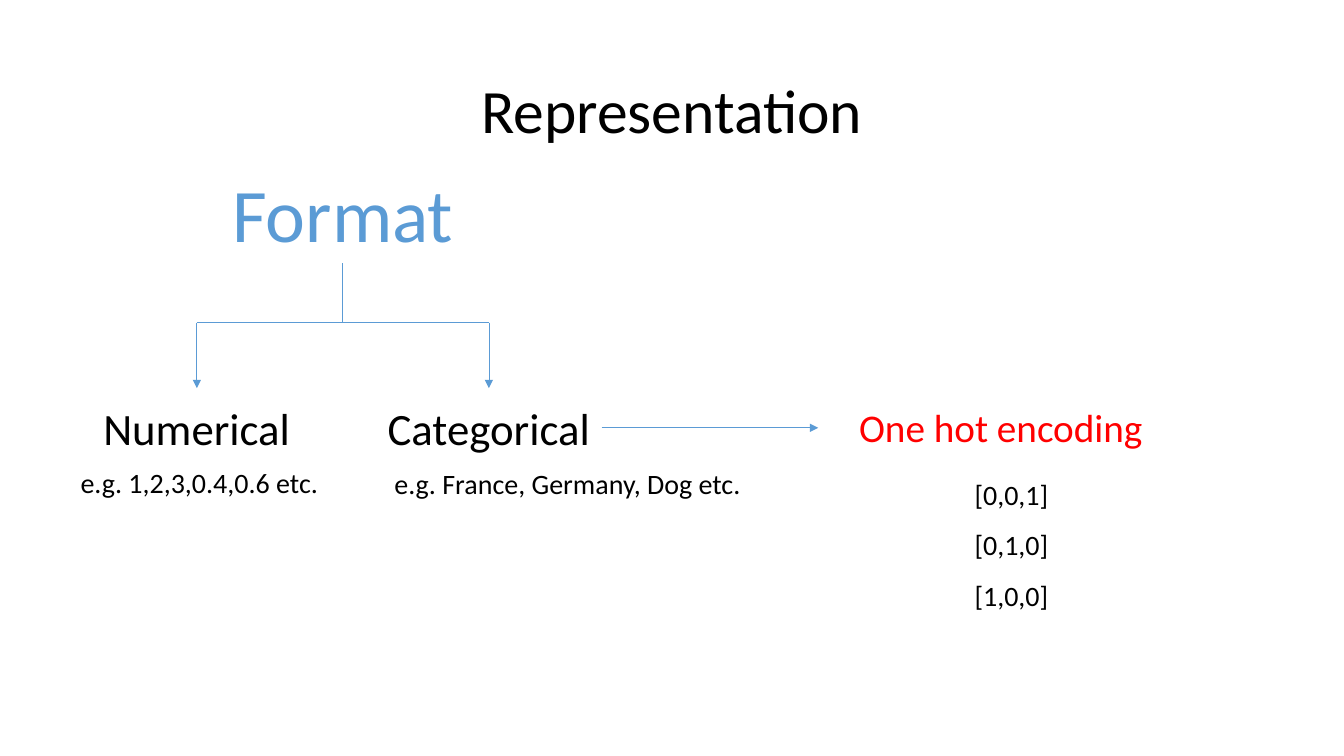
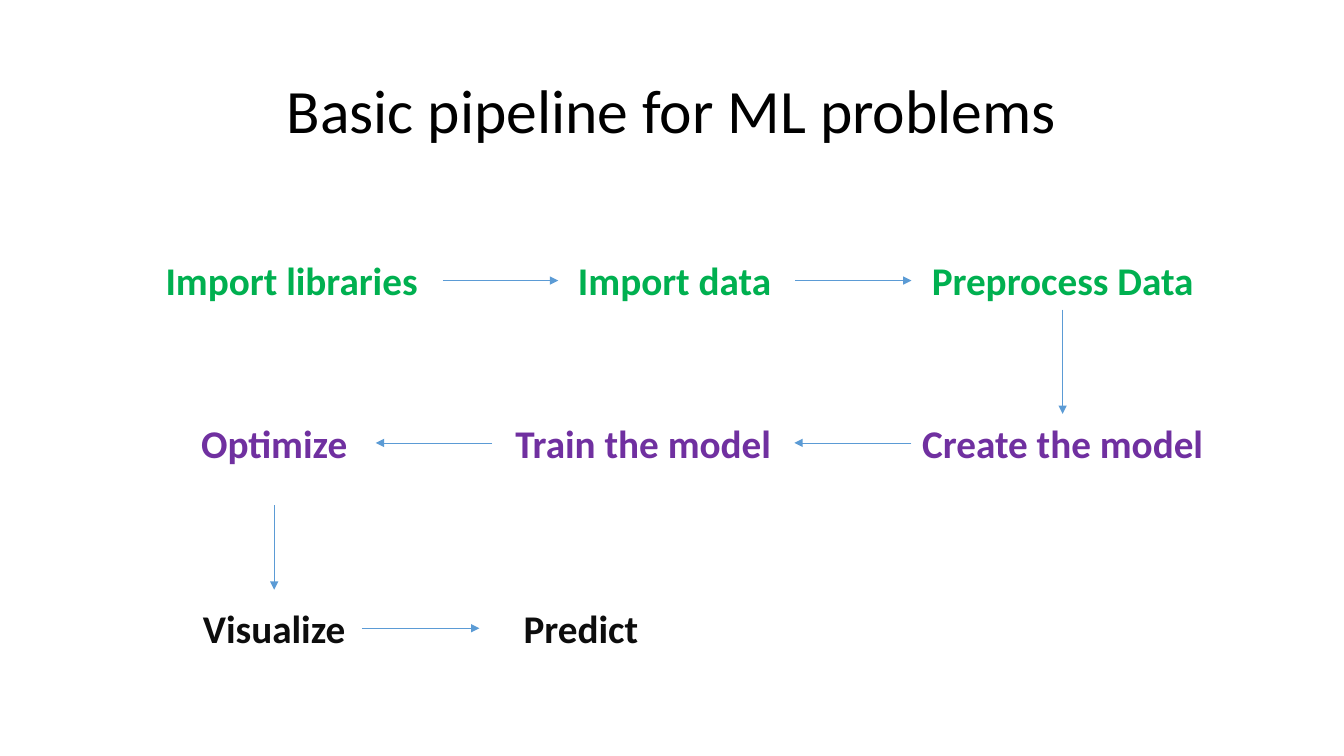
from dataclasses import dataclass
from typing import NamedTuple

from lxml import etree
from pptx import Presentation
from pptx.dml.color import RGBColor
from pptx.enum.shapes import MSO_CONNECTOR
from pptx.enum.text import MSO_ANCHOR, MSO_AUTO_SIZE, PP_ALIGN
from pptx.oxml.ns import qn
from pptx.shapes.autoshape import Shape
from pptx.slide import Slide
from pptx.util import Cm, Pt

STRAIGHT = MSO_CONNECTOR.STRAIGHT
MIDDLE = MSO_ANCHOR.MIDDLE
GROW, FIXED = MSO_AUTO_SIZE.SHAPE_TO_FIT_TEXT, MSO_AUTO_SIZE.NONE
LEFT, CENTER = PP_ALIGN.LEFT, PP_ALIGN.CENTER
SIDE_TOP, SIDE_LEFT, SIDE_BOTTOM, SIDE_RIGHT = range(4)

FONT = "Calibri"
COLORS = {
    "black": "000000",
    "blue": "5B9BD5",
    "red": "FF0000",
    "green": "00B050",
    "purple": "7030A0",
    "charcoal": "0D0D0D",
    "gold": "FFC000",
}


class Point(NamedTuple):
    x: float
    y: float


class Joint(NamedTuple):
    box: Shape
    side: int


End = Point | Joint


@dataclass(frozen=True)
class Label:
    """Text and its place in centimetres; several lines make several paragraphs."""

    lines: tuple[str, ...]
    left: float
    top: float
    width: float
    height: float
    size: int
    color: str = "black"
    align: PP_ALIGN = CENTER
    wrap: bool = True
    spacing: float = 1.0
    bold: bool = False
    outline: str | None = None


def draw_label(page: Slide, label: Label) -> Shape:
    box = page.shapes.add_textbox(
        Cm(label.left), Cm(label.top), Cm(label.width), Cm(label.height)
    )
    frame = box.text_frame
    frame.word_wrap = label.wrap
    frame.auto_size = GROW
    for index, line in enumerate(label.lines):
        para = frame.paragraphs[0] if index == 0 else frame.add_paragraph()
        para.alignment = label.align
        para.line_spacing = label.spacing
        span = para.add_run()
        span.text = line
        span.font.name = FONT
        span.font.size = Pt(label.size)
        span.font.bold = label.bold
        span.font.color.rgb = RGBColor.from_string(COLORS[label.color])
        if label.outline:
            stroke = etree.Element(qn("a:ln"), w=str(Pt(1)))
            fill = etree.SubElement(stroke, qn("a:solidFill"))
            etree.SubElement(fill, qn("a:srgbClr"), val=COLORS[label.outline])
            span.font._element.insert(0, stroke)
    return box


def draw_line(page: Slide, start: End, end: End, arrow: bool = True) -> None:
    """Draw a thin blue line between points or joined box sides."""
    begin, finish = (
        Point(0, 0) if isinstance(place, Joint) else place for place in (start, end)
    )
    line = page.shapes.add_connector(
        STRAIGHT, Cm(begin.x), Cm(begin.y), Cm(finish.x), Cm(finish.y)
    )
    if isinstance(start, Joint):
        line.begin_connect(start.box, start.side)
    if isinstance(end, Joint):
        line.end_connect(end.box, end.side)
    line.line.color.rgb = RGBColor.from_string(COLORS["blue"])
    line.line.width = Pt(0.5)
    properties = line._element.spPr
    if arrow:
        etree.SubElement(properties.find(qn("a:ln")), qn("a:tailEnd"), type="triangle")
    etree.SubElement(properties, qn("a:effectLst"))


def add_page(deck: Presentation, title: str) -> Slide:
    page = deck.slides.add_slide(deck.slide_layouts[6])
    label = Label((title,), 2.33, 1.02, 29.21, 3.68, 44, spacing=0.9)
    frame = draw_label(page, label).text_frame
    frame.auto_size = FIXED
    frame.vertical_anchor = MIDDLE
    return page


def build_representation(deck: Presentation) -> None:
    page = add_page(deck, "Representation")
    root = draw_label(
        page, Label(("Format",), 5.51, 4.07, 6.26, 2.56, 54, "blue", wrap=False)
    )
    fork = Point(8.64, 8.13)
    draw_line(page, Joint(root, SIDE_BOTTOM), fork, arrow=False)
    for branch_x in (4.96, 12.32):
        corner = Point(branch_x, fork.y)
        draw_line(page, fork, corner, arrow=False)
        draw_line(page, corner, Point(branch_x, 9.78))

    draw_label(page, Label(("Numerical",), 2.33, 9.97, 5.26, 1.62, 32, wrap=False))
    categorical = draw_label(
        page, Label(("Categorical",), 9.48, 9.97, 5.68, 1.62, 32, wrap=False)
    )
    draw_line(page, Joint(categorical, SIDE_RIGHT), Point(20.62, 10.78))

    details = (
        Label(("e.g. 1,2,3,0.4,0.6 etc.",), 1.78, 11.61, 8.69, 1.12, 20, align=LEFT),
        Label(
            ("e.g. France, Germany, Dog etc.",), 9.69, 11.63, 9.58, 1.12, 20, align=LEFT
        ),
        Label(("One hot encoding",), 21.4, 10.05, 9.78, 1.46, 28, "red", LEFT),
        Label(
            ("[0,0,1]", "[0,1,0]", "[1,0,0]"),
            24.31, 11.48, 2.6, 3.96, 20, align=LEFT, spacing=1.5,
        ),
    )
    for detail in details:
        draw_label(page, detail)


def build_pipeline(deck: Presentation) -> None:
    page = add_page(deck, "Basic pipeline for ML problems")
    height, wide, narrow = 1.46, 7.62, 5.12
    rows = (
        (6.34, "green", (
            ("Import libraries", 3.54, wide),
            ("Import data", 13.19, wide),
            ("Preprocess Data", 22.97, wide),
        )),
        (10.43, "purple", (
            ("Create the model", 22.97, wide),
            ("Train the model", 12.4, wide),
            ("Optimize", 4.35, narrow),
        )),
        (15.1, "charcoal", (
            ("Visualize", 4.35, narrow),
            ("Predict", 12.08, narrow),
        )),
    )
    steps = {
        name: draw_label(
            page,
            Label((name,), left, top, width, height, 28, color, bold=True, outline="gold"),
        )
        for top, color, cells in rows
        for name, left, width in cells
    }
    first_y, last_y = (rows[index][0] + height / 2 for index in (0, 2))
    arrows: tuple[tuple[End, End], ...] = (
        (Joint(steps["Import libraries"], SIDE_RIGHT), Point(14.07, first_y)),
        (Point(20.04, first_y), Joint(steps["Preprocess Data"], SIDE_LEFT)),
        (
            Joint(steps["Preprocess Data"], SIDE_BOTTOM),
            Joint(steps["Create the model"], SIDE_TOP),
        ),
        (
            Joint(steps["Create the model"], SIDE_LEFT),
            Joint(steps["Train the model"], SIDE_RIGHT),
        ),
        (
            Joint(steps["Train the model"], SIDE_LEFT),
            Joint(steps["Optimize"], SIDE_RIGHT),
        ),
        (Point(6.91, 12.73), Point(6.91, 14.86)),
        (Point(9.12, last_y), Joint(steps["Predict"], SIDE_LEFT)),
    )
    for start, end in arrows:
        draw_line(page, start, end)


def main() -> None:
    deck = Presentation()
    deck.slide_width, deck.slide_height = Cm(33.87), Cm(19.05)
    build_representation(deck)
    build_pipeline(deck)
    deck.save("out.pptx")


if __name__ == "__main__":
    main()
